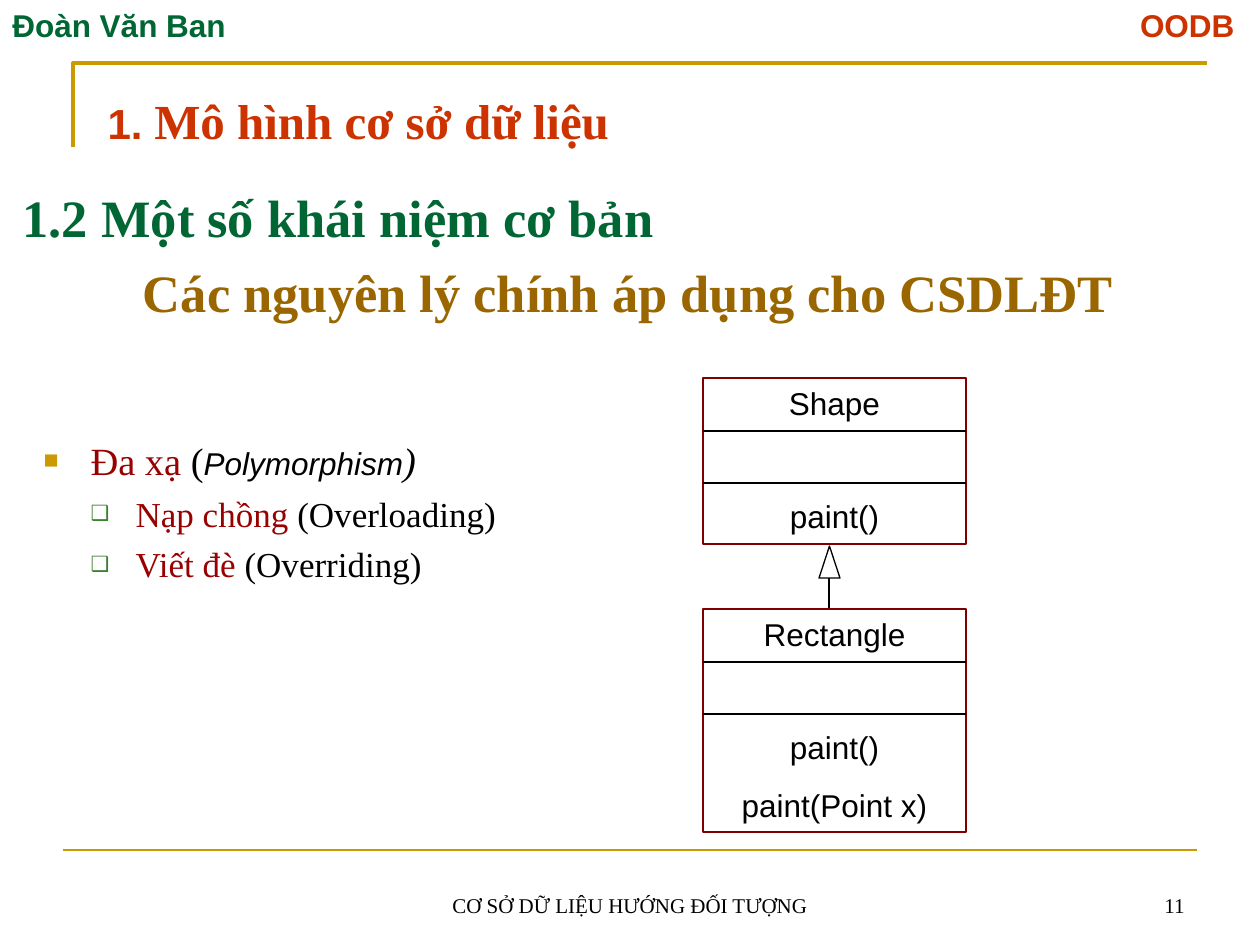
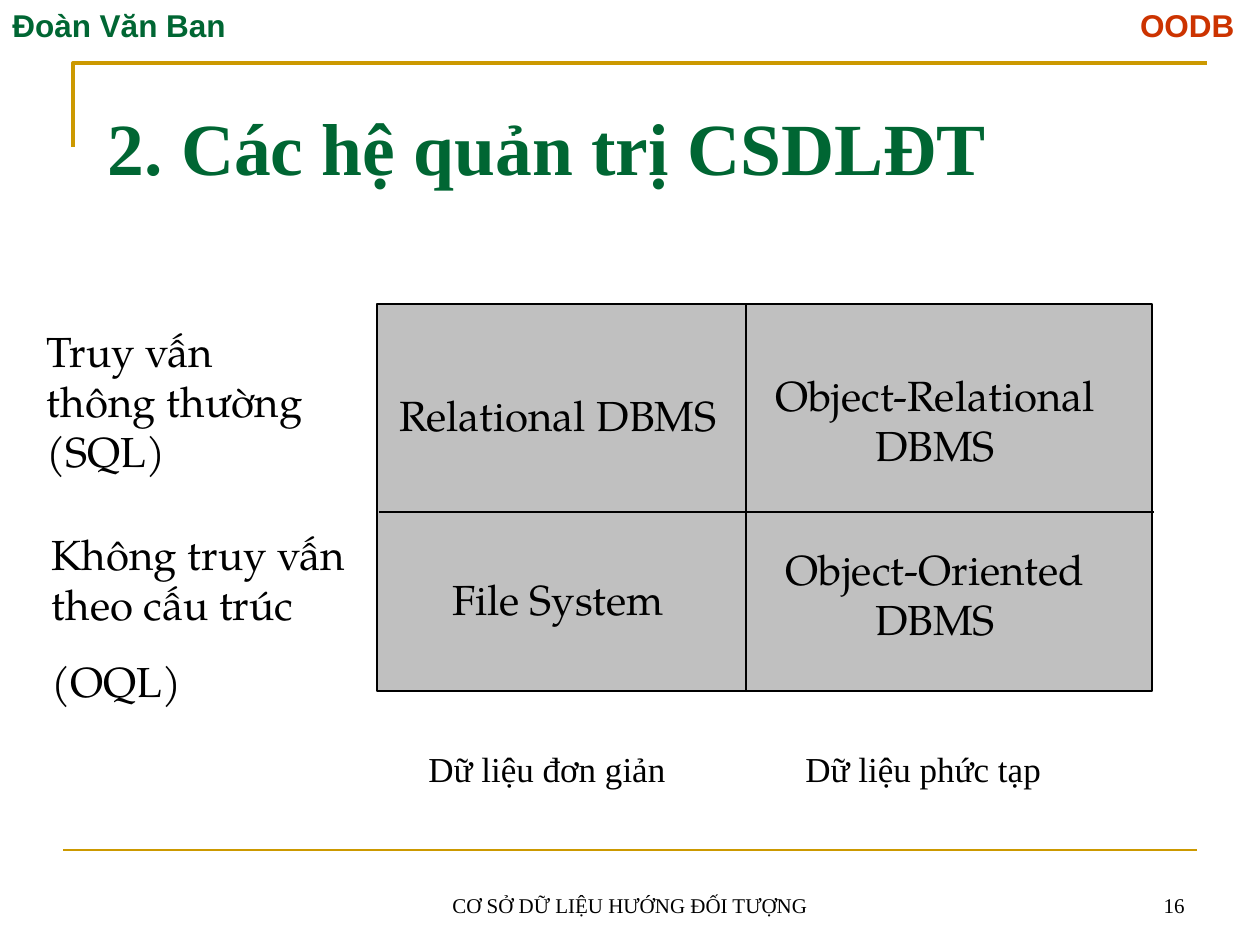
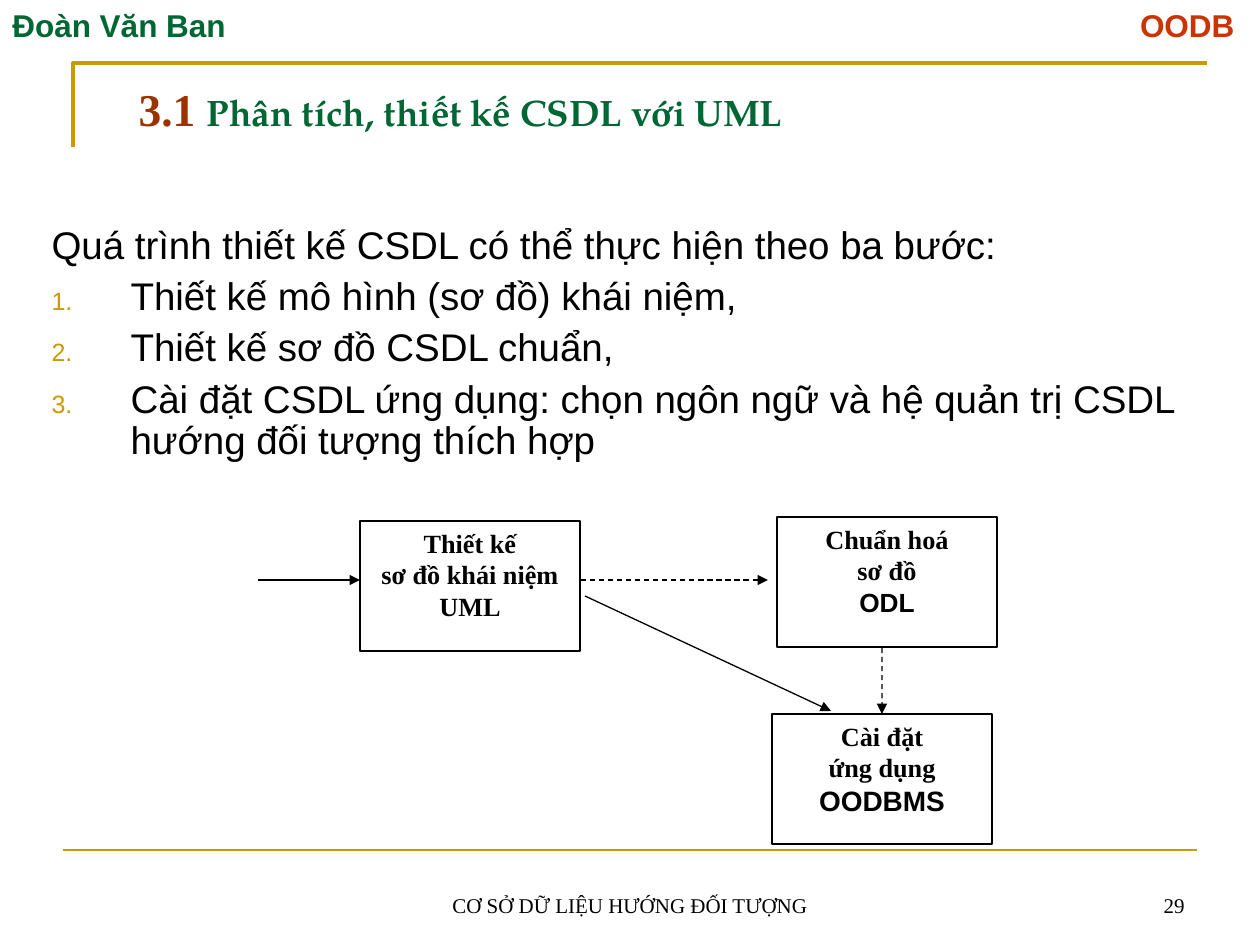
from lxml import etree
from pptx import Presentation, util as u
from pptx.dml.color import RGBColor
from pptx.enum import dml, shapes, text
from pptx.oxml.ns import qn

PX = 914400 / 126
BLACK = RGBColor(0x00, 0x00, 0x00)
WHITE = RGBColor(0xFF, 0xFF, 0xFF)
GOLD = RGBColor(0xCC, 0x99, 0x00)
GREEN = RGBColor(0x00, 0x66, 0x33)
LEAF = RGBColor(0x3B, 0x81, 0x2F)
RED = RGBColor(0xCC, 0x33, 0x00)
CRIMSON = RGBColor(0x99, 0x00, 0x00)
MAROON = RGBColor(0x80, 0x00, 0x00)
RUST = RGBColor(0x99, 0x33, 0x00)
BROWN = RGBColor(0x99, 0x66, 0x00)
GREY = RGBColor(0xC0, 0xC0, 0xC0)
SANS, SERIF, BOOK = "Arial", "Times New Roman", "TeX Gyre Pagella"
LEFT, CENTER, RIGHT = text.PP_ALIGN.LEFT, text.PP_ALIGN.CENTER, text.PP_ALIGN.RIGHT
TOP, BOTTOM = text.MSO_ANCHOR.TOP, text.MSO_ANCHOR.BOTTOM
RECT = shapes.MSO_SHAPE.RECTANGLE


def place(sp, at, paras=(), align=LEFT, anchor=TOP, before=0, edge=None, fill=None, weight=1):
    sp.left, sp.top, sp.width, sp.height = [int(n * PX) for n in at]
    if edge is not None:
        sp.shadow.inherit = False
        sp.line.color.rgb = edge
        sp.line.width = u.Pt(weight)
        if fill is None:
            sp.fill.background()
        else:
            sp.fill.solid()
            sp.fill.fore_color.rgb = fill
    tf = sp.text_frame
    tf.word_wrap = True
    tf.auto_size = text.MSO_AUTO_SIZE.NONE
    tf.vertical_anchor = anchor
    tf.margin_left = tf.margin_right = u.Inches(0.1)
    tf.margin_top = tf.margin_bottom = u.Inches(0.05)
    for i, runs in enumerate(paras):
        p = tf.add_paragraph() if i else tf.paragraphs[0]
        p.alignment = align
        p.space_before = u.Pt(before)
        for words, size, font, color, style in runs:
            r = p.add_run()
            r.text = words
            r.font.size = u.Pt(size)
            r.font.name = font
            r.font.color.rgb = color
            r.font.bold = style == "b"
            r.font.italic = style == "i"
    return tf


def line(s, x1, y1, x2, y2, color=BLACK, weight=0.75, arrow=False, dashed=False):
    c = s.shapes.add_connector(shapes.MSO_CONNECTOR.STRAIGHT, *[int(n * PX) for n in (x1, y1, x2, y2)])
    c.line.color.rgb = color
    c.line.width = u.Pt(weight)
    if dashed:
        c.line.dash_style = dml.MSO_LINE.DASH
    spPr = c._element.spPr
    if arrow:
        etree.SubElement(spPr.find(qn("a:ln")), qn("a:tailEnd"), type="triangle")
    etree.SubElement(spPr, qn("a:effectLst"))
    return c


prs = Presentation()
prs.slide_width, prs.slide_height = u.Inches(10), u.Inches(7.5)

for layout, number in ((3, "11"), (5, "16"), (1, "29")):
    s = prs.slides.add_slide(prs.slide_layouts[layout])
    ff = s.shapes.build_freeform(73, 147, PX)
    ff.add_line_segments([(73, 63), (1207, 63)], close=False)
    sp = ff.convert_to_shape()
    sp.shadow.inherit = False
    sp.fill.background()
    sp.line.color.rgb = GOLD
    sp.line.width = u.Pt(2.25)
    line(s, 63, 850, 1197, 850, GOLD, 1.5)
    for words, at, size, font, color, style, align, anchor in (
        ("Đoàn Văn Ban", (0, 0, 630, 50), 18, SANS, GREEN, "b", LEFT, TOP),
        ("OODB", (630, 0, 617, 50), 18, SANS, RED, "b", RIGHT, TOP),
        ("CƠ SỞ DỮ LIỆU HƯỚNG ĐỐI TƯỢNG", (430, 861, 400, 63), 12, SERIF, BLACK, "", CENTER, BOTTOM),
        (number, (903, 861, 294, 63), 12, SERIF, BLACK, "", RIGHT, BOTTOM),
    ):
        place(s.shapes.add_textbox(0, 0, 0, 0), at, [[(words, size, font, color, style)]], align, anchor)

concepts, systems, design = prs.slides
bullets = []

s = concepts
place(s.shapes.title, (95, 84, 1165, 72), [
    [("1. ", 24, SANS, RED, "b"), ("Mô hình cơ sở dữ liệu", 28, SERIF, RED, "b")]])
tf = place(s.placeholders[1], (10, 179, 1236, 158), [
    [("1.2 Một số khái niệm cơ bản", 30, SERIF, GREEN, "b")],
    [("Các nguyên lý chính áp dụng cho CSDLĐT", 30, SERIF, BROWN, "b")]], before=6.5)
tf.paragraphs[1].alignment = CENTER
bullets += [(p, None, GOLD, 65, 0, 0) for p in tf.paragraphs]

tf = place(s.placeholders[2], (31, 431, 640, 189), [
    [("Đa xạ ", 22, SERIF, CRIMSON, ""), ("(", 22, SERIF, BLACK, ""),
     ("Polymorphism", 18, SANS, BLACK, "i"), (")", 22, SERIF, BLACK, "i")],
    [("Nạp chồng ", 20, SERIF, CRIMSON, ""), ("(Overloading)", 20, SERIF, BLACK, "")],
    [("Viết đè ", 20, SERIF, CRIMSON, ""), ("(Overriding)", 20, SERIF, BLACK, "")]], before=5)
bullets.append((tf.paragraphs[0], "■", GOLD, 65, 47, -47))
for p in tf.paragraphs[1:]:
    p.level = 1
    bullets.append((p, "❑", LEAF, 60, 92, -45))

place(s.shapes.add_shape(shapes.MSO_SHAPE.ISOSCELES_TRIANGLE, 0, 0, 0, 0),
      (819, 546, 21, 32), edge=BLACK, fill=WHITE, weight=0.75)
line(s, 829, 578, 829, 609)
for top, height, names in ((378, 166, ("Shape", "paint()")),
                           (609, 223, ("Rectangle", "paint()", "paint(Point x)"))):
    tf = place(s.shapes.add_shape(RECT, 0, 0, 0, 0), (703, top, 263, height),
               [[(name, 18, SANS, BLACK, "")] for name in names], CENTER, before=11.2, edge=MAROON)
    tf.paragraphs[1].space_before = u.Pt(43)
    for y in (top + 53, top + 105):
        line(s, 703, y, 966, y)

s = systems
place(s.shapes.title, (95, 81, 1134, 116), [[("2. Các hệ quản trị CSDLĐT", 42, SERIF, GREEN, "b")]], anchor=BOTTOM)
place(s.shapes.add_shape(RECT, 0, 0, 0, 0), (377, 304, 775, 387), edge=BLACK, fill=GREY)
line(s, 746, 304, 746, 691, weight=1)
line(s, 379, 512, 1154, 512, weight=1)
for x, axis, cells in (
    (376, "Dữ liệu đơn giản", ((383, ["Relational DBMS"]), (567, ["File System"]))),
    (753, "Dữ liệu phức tạp", ((363, ["Object-Relational", "DBMS"]), (537, ["Object-Oriented", "DBMS"]))),
):
    for top, words in cells:
        place(s.shapes.add_textbox(0, 0, 0, 0), (x, top, 364, 113),
              [[(w, 24, BOOK, BLACK, "")] for w in words], CENTER)
    place(s.shapes.add_textbox(0, 0, 0, 0), (x + 40, 741, 320, 54), [[(axis, 20, SERIF, BLACK, "")]])
for at, words in (((34, 319, 297, 164), ["Truy vấn thông thường (SQL)"]),
                  ((39, 522, 338, 190), ["Không truy vấn theo cấu trúc", "(OQL)"])):
    place(s.shapes.add_textbox(0, 0, 0, 0), at, [[(w, 24, BOOK, BLACK, "")] for w in words], before=15)

s = design
place(s.shapes.title, (126, 26, 1134, 116), [
    [("3.1 ", 26, SERIF, RUST, "b"), ("Phân tích, thiết kế CSDL với UML", 21, BOOK, GREEN, "b")]], anchor=BOTTOM)
tf = place(s.placeholders[1], (39, 220, 1186, 262), [[(words, 22, SANS, BLACK, "")] for words in (
    "Quá trình thiết kế CSDL có thể thực hiện theo ba bước:",
    "Thiết kế mô hình (sơ đồ) khái niệm,",
    "Thiết kế sơ đồ CSDL chuẩn,",
    "Cài đặt CSDL ứng dụng: chọn ngôn ngữ và hệ quản trị CSDL hướng đối tượng thích hợp")], before=5.5)
for i, p in enumerate(tf.paragraphs):
    p.line_spacing = 0.9
    bullets.append((p, "1." if i else None, GOLD, 65, 79, -79))

for x, y, rows in (
    (360, 521, (("Thiết kế", 15, SERIF), ("sơ đồ khái niệm UML", 15, SERIF))),
    (777, 517, (("Chuẩn hoá", 15, SERIF), ("sơ đồ", 15, SERIF), ("ODL", 15, SANS))),
    (772, 714, (("Cài đặt", 15, SERIF), ("ứng dụng", 15, SERIF), ("OODBMS", 16, SANS))),
):
    step = s.shapes.add_shape(RECT, 0, 0, 0, 0)
    place(step, (x, y, 220, 130), [[(*row, BLACK, "b")] for row in rows], CENTER,
          edge=BLACK, fill=WHITE, weight=0.75)
line(s, 258, 580, 360, 580, arrow=True)
line(s, 581, 580, 768, 580, arrow=True, dashed=True)
line(s, 585, 596, 831, 711, arrow=True)
line(s, 882, 648, 882, 714, arrow=True, dashed=True).end_connect(step, 0)

for p, mark, color, size, margin, indent in bullets:
    pPr = p._p.get_or_add_pPr()
    pPr.set("marL", str(int(margin * PX)))
    pPr.set("indent", str(int(indent * PX)))
    if mark is None:
        etree.SubElement(pPr, qn("a:buNone"))
        continue
    etree.SubElement(etree.SubElement(pPr, qn("a:buClr")), qn("a:srgbClr"), val=str(color))
    etree.SubElement(pPr, qn("a:buSzPct"), val=str(size * 1000))
    etree.SubElement(pPr, qn("a:buFont"), typeface=SANS)
    if mark == "1.":
        etree.SubElement(pPr, qn("a:buAutoNum"), type="arabicPeriod")
    else:
        etree.SubElement(pPr, qn("a:buChar"), char=mark)

prs.save("out.pptx")
